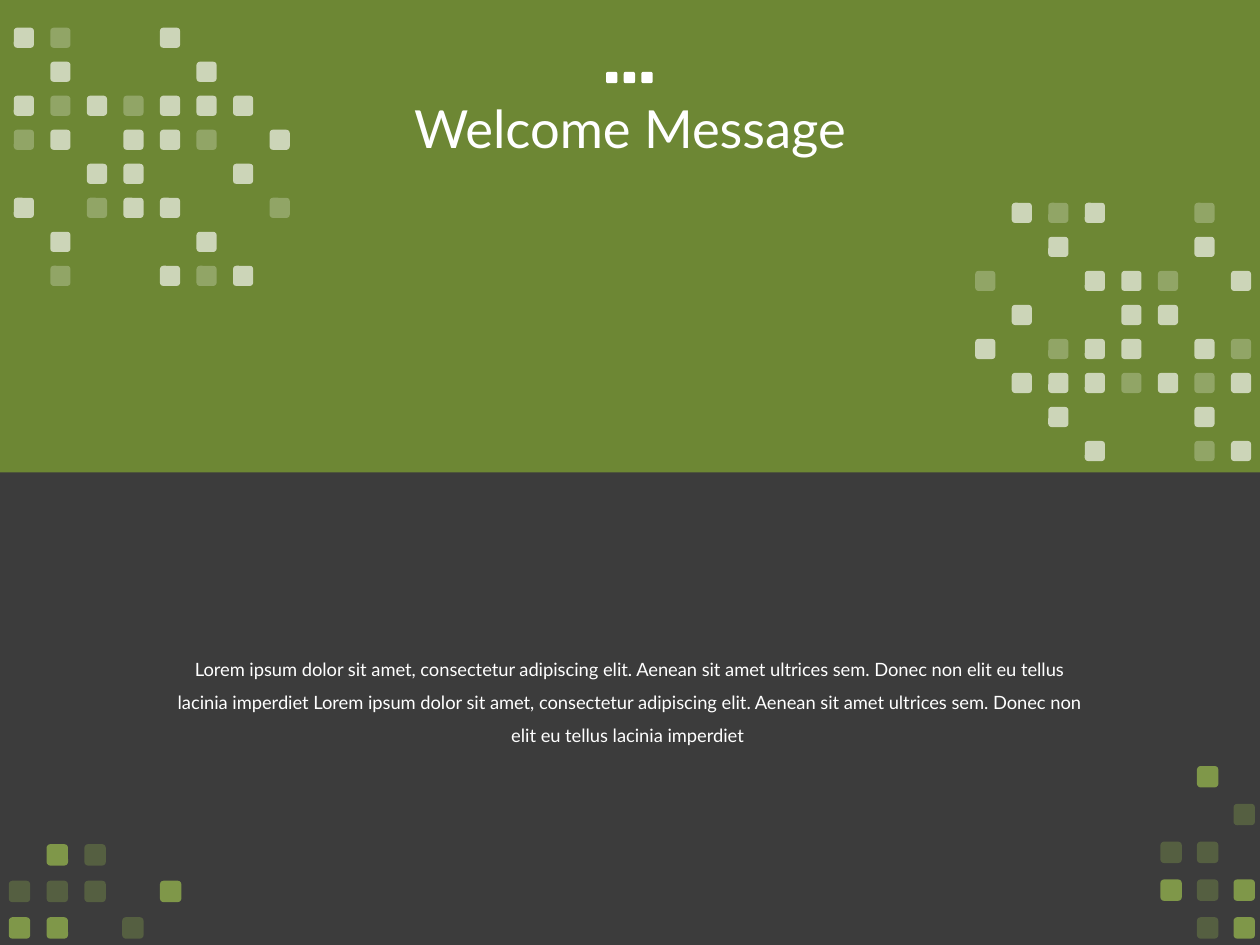
from dataclasses import dataclass

from lxml.etree import SubElement
from pptx import Presentation
from pptx.dml.color import RGBColor
from pptx.enum.shapes import MSO_SHAPE as Preset
from pptx.enum.text import MSO_ANCHOR as Anchor, PP_ALIGN as Align
from pptx.oxml.ns import qn
from pptx.shapes.autoshape import Shape
from pptx.slide import Slide
from pptx.util import Inches, Pt

WHITE = RGBColor(0xFF, 0xFF, 0xFF)
CHARCOAL = RGBColor(0x3C, 0x3C, 0x3C)
OLIVE = RGBColor(0x7E, 0xA1, 0x32)
LIME = RGBColor(0xA3, 0xC9, 0x51)
OPACITY = {"#": 65, "+": 25}


@dataclass
class Mosaic:
    left: float
    top: float
    step_x: float
    step_y: float
    side: float
    color: RGBColor
    rows: list[str]


@dataclass
class TextBlock:
    text: str
    left: float
    top: float
    width: float
    height: float
    anchor: Anchor
    line_spacing: float
    size: float


MOSAICS = [
    Mosaic(0.11, 0.22, 0.29, 0.27, 0.16, WHITE, [
        "#+..#...",
        ".#...#..",
        "#+#+###.",
        "+#.##+.#",
        "..##..#.",
        "#.+##..+",
        ".#...#..",
        ".+..#+#.",
    ]),
    Mosaic(7.74, 1.61, 0.29, 0.27, 0.16, WHITE, [
        ".#+#..+.",
        "..#...#.",
        "+..##+.#",
        ".#..##..",
        "#.+##.#+",
        ".###+#+#",
        "..#...#.",
        "...#..+#",
    ]),
    Mosaic(0.07, 6.7, 0.3, 0.29, 0.17, LIME, [
        ".#+..",
        "+++.#",
        "##.+.",
    ]),
    Mosaic(9.21, 6.08, 0.29, 0.3, 0.17, LIME, [
        ".#.",
        "..+",
        "++.",
        "#+#",
        ".+#",
    ]),
]

SENTENCE = ("Lorem ipsum dolor sit amet, consectetur adipiscing elit. Aenean sit amet "
            "ultrices sem. Donec non elit eu tellus lacinia imperdiet")
TEXTS = [
    TextBlock("Welcome Message", 0.69, 0.32, 8.62, 1.45, Anchor.MIDDLE, 0.9, 30),
    TextBlock(f"{SENTENCE} {SENTENCE} ", 1.3, 5.09, 7.4, 0.86, Anchor.TOP, 1.5, 10.5),
]


def add_block(slide: Slide, preset: Preset, left: float, top: float, width: float,
              height: float, color: RGBColor, opacity: int = 100) -> Shape:
    shape = slide.shapes.add_shape(
        preset, Inches(left), Inches(top), Inches(width), Inches(height))
    shape.shadow.inherit = False
    shape.line.fill.background()
    shape.fill.solid()
    shape.fill.fore_color.rgb = color
    if opacity < 100:
        color_element = next(shape.element.spPr.iter(qn("a:srgbClr")))
        SubElement(color_element, qn("a:alpha")).set("val", str(opacity * 1000))
    return shape


def add_mosaic(slide: Slide, mosaic: Mosaic) -> None:
    for row, cells in enumerate(mosaic.rows):
        for column, cell in enumerate(cells):
            if cell in OPACITY:
                add_block(slide, Preset.ROUNDED_RECTANGLE,
                          mosaic.left + column * mosaic.step_x,
                          mosaic.top + row * mosaic.step_y,
                          mosaic.side, mosaic.side, mosaic.color, OPACITY[cell])


def add_text(slide: Slide, block: TextBlock) -> None:
    box = slide.shapes.add_textbox(
        Inches(block.left), Inches(block.top), Inches(block.width), Inches(block.height))
    frame = box.text_frame
    paragraph = frame.paragraphs[0]
    run = paragraph.add_run()
    run.text = block.text
    run.font.color.rgb = WHITE
    formats = [
        (frame, {"word_wrap": True, "vertical_anchor": block.anchor}),
        (paragraph, {"alignment": Align.CENTER, "line_spacing": block.line_spacing}),
        (run.font, {"name": "Lato", "size": Pt(block.size)}),
    ]
    for target, values in formats:
        for name, value in values.items():
            setattr(target, name, value)


def main() -> None:
    presentation = Presentation()
    presentation.slide_width = Inches(10)
    presentation.slide_height = Inches(7.5)
    slide = presentation.slides.add_slide(presentation.slide_layouts[6])
    slide.background.fill.solid()
    slide.background.fill.fore_color.rgb = CHARCOAL

    add_block(slide, Preset.RECTANGLE, 0, 0, 10, 3.75, OLIVE, 75)
    for block in TEXTS:
        add_text(slide, block)
    for index in range(3):
        add_block(slide, Preset.ROUNDED_RECTANGLE,
                  4.81 + index * 0.14, 0.57, 0.09, 0.09, WHITE)
    for mosaic in MOSAICS:
        add_mosaic(slide, mosaic)

    presentation.save("out.pptx")


if __name__ == "__main__":
    main()
